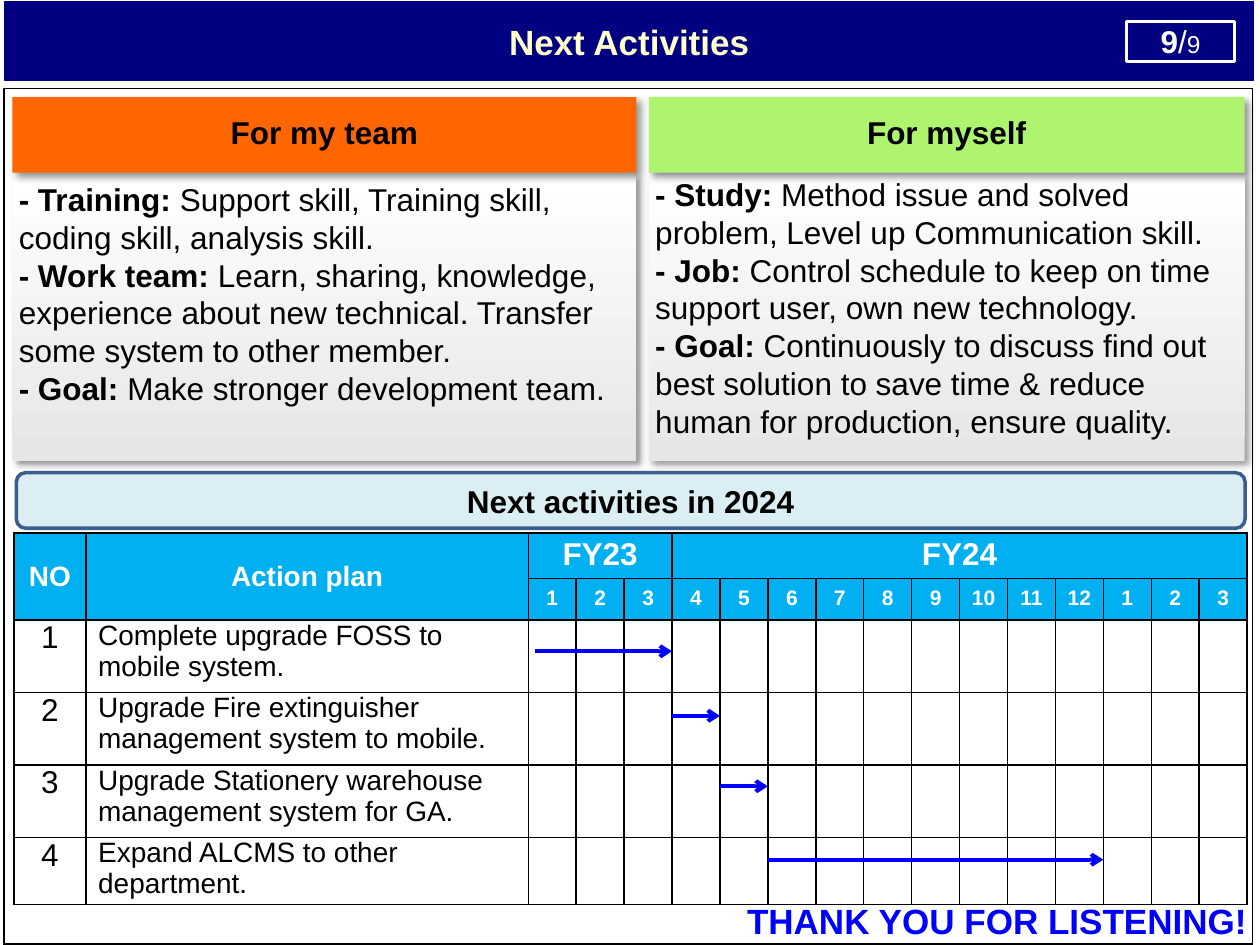
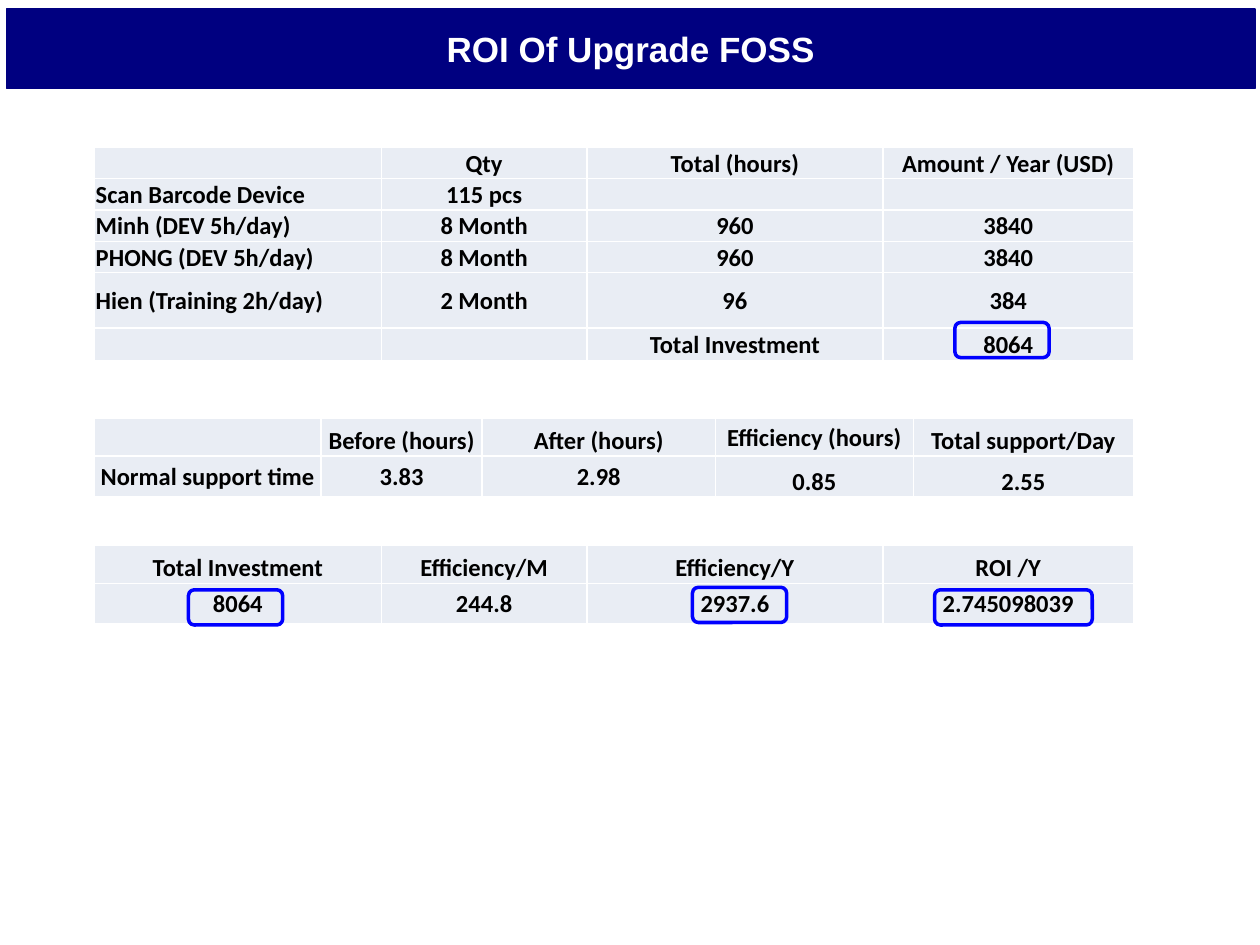
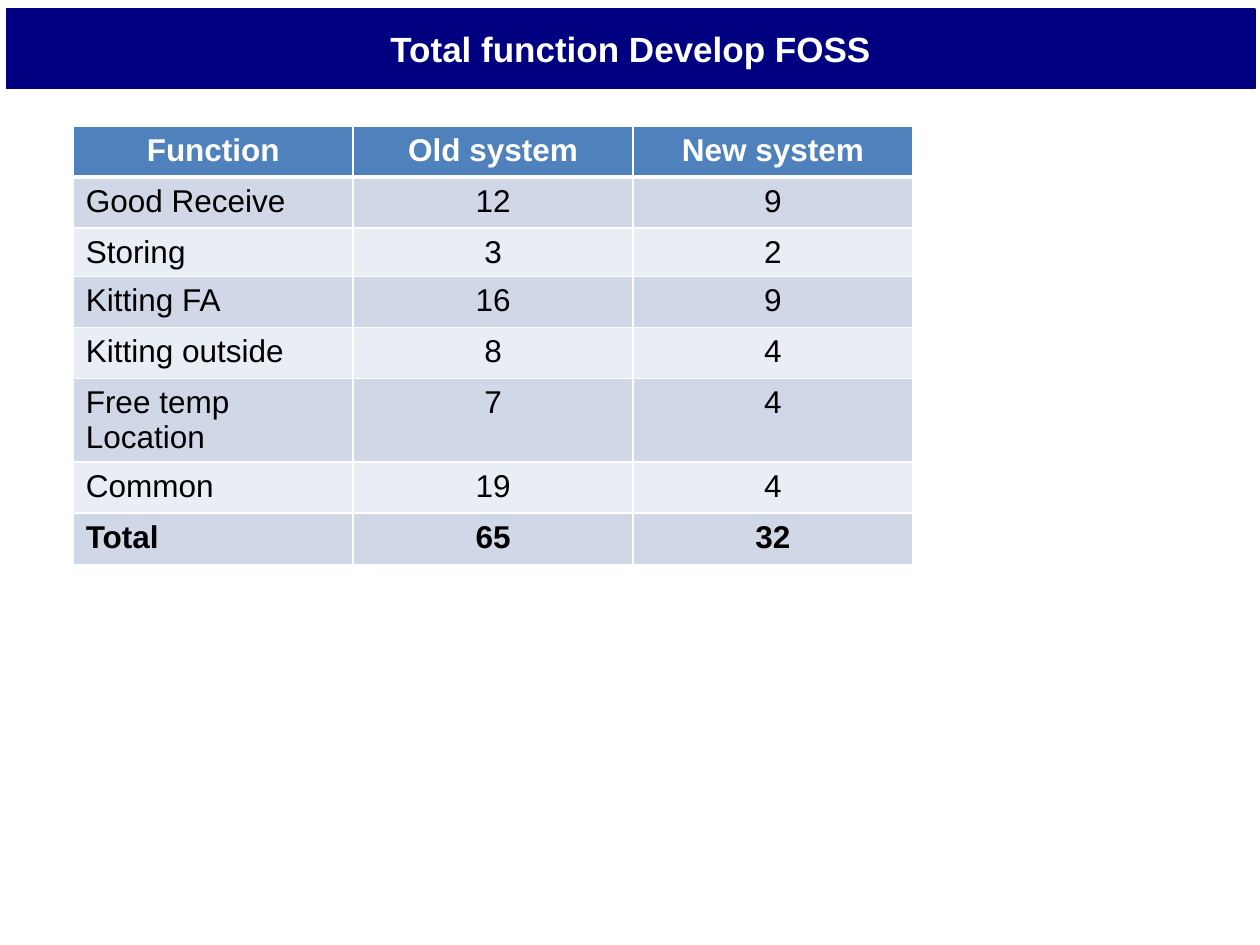
import pptx
import pptx.dml.color
import pptx.enum.shapes
import pptx.enum.text
import pptx.oxml
import pptx.oxml.ns
import pptx.util
from lxml import etree

Cm = pptx.util.Cm
Pt = pptx.util.Pt
SHAPES = pptx.enum.shapes.MSO_SHAPE
qn = pptx.oxml.ns.qn

COLORS = {
    "navy": "000080", "cream": "FFFFCC", "white": "FFFFFF", "black": "000000",
    "blue": "0000FF", "orange": "FF6600", "lime": "AEF46E", "grey": "E6E6E6",
    "ice": "DBEEF4", "steel": "3A5F8C", "sky": "00B0F0",
    "header": "4F81BD", "dark row": "D0D8E8", "light row": "E9EDF4",
}
ANCHORS = {
    "t": pptx.enum.text.MSO_ANCHOR.TOP,
    "m": pptx.enum.text.MSO_ANCHOR.MIDDLE,
    "b": pptx.enum.text.MSO_ANCHOR.BOTTOM,
}
ALIGNMENTS = {
    "left": pptx.enum.text.PP_ALIGN.LEFT,
    "center": pptx.enum.text.PP_ALIGN.CENTER,
}
DEFAULT_INSETS = (0.25, 0.13, 0.25, 0.13)
EDGES = "LRTB"

TEAM_PLANS = [
    [("- Training: ", {"bold": True}),
     ("Support skill, Training skill, coding skill, analysis skill.", {})],
    [("- Work team: ", {"bold": True}),
     ("Learn, sharing, knowledge, experience about new technical. "
      "Transfer some system to other member.", {})],
    [("- Goal: ", {"bold": True}),
     ("Make stronger development team.", {})],
]
MY_PLANS = [
    [("- Study: ", {"bold": True}),
     ("Method issue and solved problem, Level up Communication skill.", {})],
    [("- Job: ", {"bold": True}),
     ("Control schedule to keep on time support user, own new technology.", {})],
    [("- Goal: ", {"bold": True}),
     ("Continuously to discuss find out best solution to save time & reduce "
      "human for production, ensure quality.", {})],
]
MONTHS = [1, 2, 3, 4, 5, 6, 7, 8, 9, 10, 11, 12, 1, 2, 3]
# Action, first and last month line of its arrow, drop of the arrow below the row top
ACTIONS = [
    ("Complete upgrade FOSS to mobile system.", 0.15, 3, 0.66),
    ("Upgrade Fire extinguisher management system to mobile.", 3, 4, 0.5),
    ("Upgrade Stationery warehouse management system for GA.", 4, 5, 0.46),
    ("Expand ALCMS to other department.", 5, 12, 0.48),
]

WIDE_COLUMNS = [5.79, 4.14, 5.97, 5.05]
# Each table: top, columns, row heights, anchors by cell, rows, highlights (left, top, width)
ROI_TABLES = [
    (2.97, WIDE_COLUMNS, [0.62, 0.62, 0.62, 0.62, 1.11, 0.66],
     ["bbbb"] + ["mmmm"] * 5,
     [["", "Qty", "Total (hours)", "Amount / Year (USD)"],
      ["Scan Barcode Device", "115 pcs", "", ""],
      ["Minh (DEV 5h/day)", "8 Month", "960", "3840"],
      ["PHONG (DEV 5h/day)", "8 Month", "960", "3840"],
      ["Hien (Training 2h/day)", "2 Month", "96", "384"],
      ["", "", "Total Investment", "8064"]],
     [(17.35, 3.53, 1.9)]),
    (8.43, [4.57, 3.25, 4.7, 3.99, 4.44], [0.76, 0.82], ["bbbmb", "mmmbb"],
     [["", "Before (hours)", "After (hours)", "Efficiency (hours)", "Total support/Day"],
      ["Normal support time", "3.83", "2.98", "0.85", "2.55"]],
     []),
    (11, WIDE_COLUMNS, [0.76, 0.82], ["bbbb", "mmmm"],
     [["Total Investment", "Efficiency/M", "Efficiency/Y", "ROI /Y"],
      ["8064", "244.8", "2937.6", "2.745098039"]],
     [(1.9, 0.89, 1.9), (12.06, 0.84, 1.9), (16.94, 0.89, 3.18)]),
]
FUNCTIONS = [
    ["Function", "Old system", "New system"],
    ["Good Receive", "12", "9"],
    ["Storing", "3", "2"],
    ["Kitting FA", "16", "9"],
    ["Kitting outside", "8", "4"],
    ["Free temp Location", "7", "4"],
    ["Common", "19", "4"],
    ["Total", "65", "32"],
]


def rgb(name):
    return pptx.dml.color.RGBColor.from_string(COLORS[name])


def format_run(run, size, color, bold=False, font="Arial"):
    run.font.size = Pt(size)
    run.font.color.rgb = rgb(color)
    run.font.bold = bold
    run.font.name = font


def write_text(frame, text, align="left", size=18, **font):
    """Write a string, or a list of paragraphs made of (text, format) runs."""
    paragraphs = [[(text, {})]] if isinstance(text, str) else text
    for index, runs in enumerate(paragraphs):
        paragraph = frame.add_paragraph() if index else frame.paragraphs[0]
        paragraph.alignment = ALIGNMENTS[align]
        for content, changes in runs:
            if content:
                run = paragraph.add_run()
                run.text = content
                format_run(run, **{"size": size, "color": "black", **font, **changes})
            else:
                paragraph._p.get_or_add_endParaRPr().set("sz", str(size * 100))


def set_box(holder, insets=DEFAULT_INSETS, anchor="m"):
    """Set the insets and anchor of a text frame or a table cell."""
    holder.margin_left, holder.margin_top, holder.margin_right, holder.margin_bottom = map(Cm, insets)
    holder.vertical_anchor = ANCHORS[anchor]


def add_box(slide, left, top, width, height, kind=SHAPES.RECTANGLE,
            fill=None, line=None, line_width=2, shadow=False):
    shape = slide.shapes.add_shape(kind, Cm(left), Cm(top), Cm(width), Cm(height))
    shape.shadow.inherit = False
    if fill:
        shape.fill.solid()
        shape.fill.fore_color.rgb = rgb(fill)
    else:
        shape.fill.background()
    if line:
        shape.line.color.rgb = rgb(line)
        shape.line.width = Pt(line_width)
    else:
        shape.line.fill.background()
    if shadow:
        effects = shape._element.spPr.find(qn("a:effectLst"))
        outer = etree.SubElement(effects, qn("a:outerShdw"), blurRad=str(Pt(4)),
                                 dist=str(Pt(3)), dir="2700000", algn="tl", rotWithShape="0")
        color = etree.SubElement(outer, qn("a:srgbClr"), val=COLORS["black"])
        etree.SubElement(color, qn("a:alpha"), val="40000")
    set_box(shape.text_frame)
    shape.text_frame.word_wrap = True
    return shape


def add_arrow(slide, start, end, height):
    connector = slide.shapes.add_connector(
        pptx.enum.shapes.MSO_CONNECTOR.STRAIGHT, Cm(start), Cm(height), Cm(end), Cm(height))
    connector.line.color.rgb = rgb("blue")
    connector.line.width = Pt(2.25)
    etree.SubElement(connector.line._get_or_add_ln(), qn("a:tailEnd"), type="arrow")
    etree.SubElement(connector._element.spPr, qn("a:effectLst"))


def add_table(slide, left, top, columns, rows):
    table = slide.shapes.add_table(len(rows), len(columns), Cm(left), Cm(top),
                                   Cm(sum(columns)), Cm(sum(rows))).table
    table.first_row = table.horz_banding = False
    for column, width in zip(table.columns, columns):
        column.width = Cm(width)
    for row, height in zip(table.rows, rows):
        row.height = Cm(height)
    return table


def set_borders(cell, color, edges=EDGES, widths=None):
    properties = cell._tc.get_or_add_tcPr()
    for edge in EDGES:
        width = (widths or {}).get(edge, 1)
        line = etree.SubElement(properties, qn("a:ln" + edge), w=str(Pt(width)))
        if edge in edges:
            solid = etree.SubElement(line, qn("a:solidFill"))
            etree.SubElement(solid, qn("a:srgbClr"), val=COLORS[color])
        else:
            etree.SubElement(line, qn("a:noFill"))


def fill_cell(cell, text="", fill=None, border="white", edges=EDGES, widths=None,
              insets=DEFAULT_INSETS, anchor="t", **format):
    set_borders(cell, border, edges, widths)
    if fill:
        cell.fill.solid()
        cell.fill.fore_color.rgb = rgb(fill)
    else:
        cell.fill.background()
    set_box(cell, insets, anchor)
    write_text(cell.text_frame, text, **format)


def add_title_band(slide, title, left=0.13, top=0.18, color="white"):
    band = add_box(slide, left, top, 25.17, 1.6, fill="navy", line="navy", line_width=0.75)
    band.text_frame.word_wrap = False
    write_text(band.text_frame, title, align="center", size=20, color=color, bold=True)


def add_page_box(slide, left, top):
    box = add_box(slide, left, top, 2.18, 0.81, line="white")
    write_text(box.text_frame, [[("9", {"bold": True}), ("/", {}), ("9", {"size": 14})]],
               align="center", color="white")


def add_frame(slide, left, top):
    table = add_table(slide, left, top, [12.75, 12.42], [17.25])
    for cell, edges in zip(table.rows[0].cells, ("LTB", "RTB")):
        fill_cell(cell, border="black", edges=edges)


def add_panel(slide, left, top, width, heading, fill, plans, text_top):
    body = add_box(slide, left, top + 1.57, width, 5.77, fill="white", shadow=True)
    body.fill.gradient()
    body.fill.gradient_angle = 90
    for stop, color in zip(body.fill.gradient_stops, ("grey", "white")):
        stop.color.rgb = rgb(color)
    set_box(body.text_frame, (0.13, text_top, 0.13, 0), "t")
    write_text(body.text_frame, plans)
    header = add_box(slide, left, top, width, 1.52, fill=fill, shadow=True)
    set_box(header.text_frame, (0.25, 0, 0.25, 0.13))
    write_text(header.text_frame, heading, align="center", bold=True)


def add_schedule(slide, left, top, width):
    number_width, action_width = 1.45, 8.92
    month_width = (width - number_width - action_width) / len(MONTHS)
    heights = [0.89, 0.84, 1.46, 1.46, 1.46, 1.35]
    table = add_table(slide, left, top,
                      [number_width, action_width] + [month_width] * len(MONTHS), heights)
    header = {"fill": "sky", "border": "black", "align": "center", "color": "white", "bold": True}
    first_row = {0: ("NO", 16, "m"), 1: ("Action plan", 16, "m"),
                 2: ("FY23", 18, "t"), 5: ("FY24", 18, "t")}
    for column in range(len(MONTHS) + 2):
        text, size, anchor = first_row.get(column, ("", 12, "t"))
        fill_cell(table.cell(0, column), text, size=size, anchor=anchor,
                  insets=(0.25, 0.08, 0.25, 0.08), **header)
        month = str(MONTHS[column - 2]) if column > 1 else ""
        fill_cell(table.cell(1, column), month, size=12, insets=(0, 0.15, 0, 0), **header)
    for start, end in [((0, 0), (1, 0)), ((0, 1), (1, 1)), ((0, 2), (0, 4)), ((0, 5), (0, 16))]:
        table.cell(*start).merge(table.cell(*end))

    months_left = left + number_width + action_width
    for number, (action, start, end, drop) in enumerate(ACTIONS, 1):
        row = number + 1
        fill_cell(table.cell(row, 0), str(number), border="black", align="center", insets=(0, 0, 0, 0))
        fill_cell(table.cell(row, 1), action, border="black", size=16, insets=(0.25, 0, 0, 0))
        for column in range(2, len(MONTHS) + 2):
            fill_cell(table.cell(row, column), border="black")
        add_arrow(slide, months_left + start * month_width, months_left + end * month_width,
                  top + sum(heights[:row]) + drop)


def add_activities_slide(slide):
    add_title_band(slide, "Next Activities", 0.1, 0.03, "cream")
    add_page_box(slide, 22.71, 0.43)
    add_frame(slide, 0.08, 1.78)
    thanks = slide.shapes.add_textbox(Cm(14.81), Cm(18.01), Cm(10.67), Cm(1.12)).text_frame
    thanks.word_wrap = True
    write_text(thanks, "THANK YOU FOR LISTENING!", size=20, color="blue", bold=True)
    add_panel(slide, 13.08, 1.96, 12.01, "For myself", "lime", MY_PLANS, 0)
    add_panel(slide, 0.25, 1.96, 12.58, "For my team", "orange", TEAM_PLANS, 0.1)
    banner = add_box(slide, 0.33, 9.53, 24.77, 1.12, SHAPES.ROUNDED_RECTANGLE,
                     fill="ice", line="steel")
    write_text(banner.text_frame, "Next activities in 2024", align="center", bold=True)
    add_schedule(slide, 0.28, 10.74, 24.86)


def add_roi_table(slide, left, top, columns, heights, anchors, rows, highlights):
    table = add_table(slide, left, top, columns, heights)
    for row, (texts, row_anchors) in enumerate(zip(rows, anchors)):
        for column, (text, anchor) in enumerate(zip(texts, row_anchors)):
            is_label = column == 0 and len(rows) > 2
            fill_cell(table.cell(row, column), text, fill="light row", anchor=anchor,
                      insets=(0.03, 0.03, 0.03, 0), align="left" if is_label else "center",
                      size=14, bold=True, font="Calibri")
    for offset, drop, width in highlights:
        add_box(slide, left + offset, top + drop, width, 0.71,
                SHAPES.ROUNDED_RECTANGLE, line="blue")


def add_roi_slide(slide):
    add_title_band(slide, "ROI Of Upgrade FOSS")
    for roi_table in ROI_TABLES:
        add_roi_table(slide, 1.9, *roi_table)


def add_function_table(slide, left, top):
    table = add_table(slide, left, top, [5.64] * 3, [1.03, 1.03, 0.97, 1.03, 1.03, 1.68, 1.03, 1.03])
    last = len(FUNCTIONS) - 1
    for row, texts in enumerate(FUNCTIONS):
        is_header = row == 0
        fill = "header" if is_header else "dark row" if row % 2 else "light row"
        widths = {"B": 3} if is_header else {"T": 3} if row == 1 else None
        for column, text in enumerate(texts):
            fill_cell(table.cell(row, column), text, fill=fill, widths=widths,
                      align="center" if is_header or column else "left",
                      color="white" if is_header else "black", bold=row in (0, last))


def add_functions_slide(slide):
    add_title_band(slide, "Total function Develop FOSS")
    add_function_table(slide, 1.48, 2.54)


def main():
    presentation = pptx.Presentation()
    presentation.slide_width, presentation.slide_height = Cm(25.4), Cm(19.05)
    blank = presentation.slide_layouts[6]
    for build in (add_activities_slide, add_roi_slide, add_functions_slide):
        build(presentation.slides.add_slide(blank))
    presentation.save("out.pptx")


if __name__ == "__main__":
    main()
